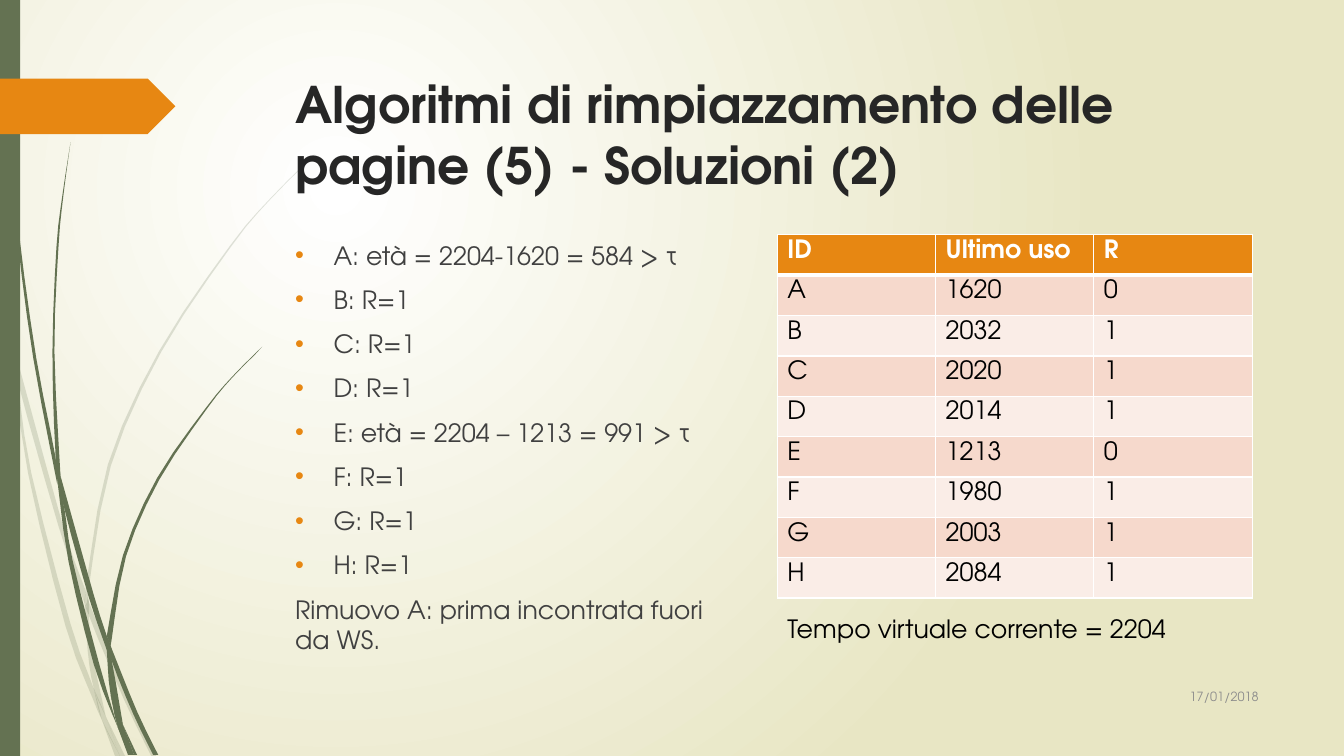
from pptx import Presentation
from pptx.dml.color import RGBColor
from pptx.enum.shapes import MSO_SHAPE
from pptx.enum.text import MSO_ANCHOR, PP_ALIGN
from pptx.oxml import parse_xml
from pptx.oxml.ns import nsdecls
from pptx.util import Inches, Pt

TITLE = "Algoritmi di rimpiazzamento delle pagine (5) - Soluzioni (2)"
AGES = ["A: età = 2204-1620 = 584 > τ", "B: R=1", "C: R=1", "D: R=1",
        "E: età = 2204 – 1213 = 991 > τ", "F: R=1", "G: R=1", "H: R=1"]
RESULT = "Rimuovo A: prima incontrata fuori da WS."
CLOCK = "Tempo virtuale corrente = 2204"
DATE = "17/01/2018"
PAGES = [("ID", "Ultimo uso", "R"),
         ("A", "1620", "0"), ("B", "2032", "1"), ("C", "2020", "1"),
         ("D", "2014", "1"), ("E", "1213", "0"), ("F", "1980", "1"),
         ("G", "2003", "1"), ("H", "2084", "1")]

FONT = "TeX Gyre Adventor"
WHITE = RGBColor(0xFF, 0xFF, 0xFF)
BLACK = RGBColor(0, 0, 0)
SAND = RGBColor(0xE8, 0xE6, 0xC4)
GREEN = RGBColor(0x64, 0x72, 0x52)
ORANGE = RGBColor(0xE7, 0x87, 0x12)
DARK = RGBColor(0x26, 0x26, 0x26)
TEXT = RGBColor(0x40, 0x40, 0x40)
GREY = RGBColor(0x8C, 0x8C, 0x8C)
BANDS = [RGBColor(0xFA, 0xED, 0xE7), RGBColor(0xF6, 0xD9, 0xCC)]

WIDTH, HEIGHT = 13.33, 7.5
LEFT, RIGHT, TOP = 2.83, 7.71, 2.33
COL, ROW = 1.57, 0.26

PALE = [
    ([(0, 2.82), (0.09, 3.22), (0.11, 3.5)], [(0, 2.99), (0.1, 3.44), (0.11, 3.5)]),
    ([(0.14, 3.45), (0.17, 3.76), (0.58, 5.22), (0.84, 5.99)],
     [(0.14, 3.45), (0.62, 5.2), (0.85, 5.86)]),
    ([(0.88, 5.96), (0.88, 6.1), (1.23, 6.94), (1.5, 7.5)],
     [(0.88, 5.96), (0.92, 6.07), (1.27, 6.92), (1.55, 7.5)]),
    ([(1.05, 7.11), (1.19, 7.5)], [(1.05, 7.11), (1.24, 7.5)]),
    ([(0.11, 3.5), (0.28, 4.7), (0.65, 6.21), (0.92, 6.93), (1.01, 7.14)],
     [(0.11, 3.5), (0.17, 3.76), (0.31, 4.69), (0.7, 6.19), (0.93, 6.83), (1.01, 7.14)]),
    ([(0.84, 5.99), (0.87, 6.46), (0.93, 6.83), (1.05, 7.11)],
     [(0.84, 5.99), (0.88, 6.1), (0.91, 6.46), (1.05, 7.11)]),
    ([(3.12, 1.53), (2.68, 1.97), (2.28, 2.44), (1.58, 3.48), (1.07, 4.61), (0.85, 5.84)],
     [(3.12, 1.54), (2.68, 1.98), (2.29, 2.45), (1.6, 3.49), (1.1, 4.62), (0.88, 5.84),
      (0.88, 5.96)]),
    ([(1.01, 7.14), (1.14, 7.5)], [(1.01, 7.14), (1.19, 7.5)]),
    ([(0.85, 5.86), (0.84, 5.99), (0.88, 6.1)], [(0.85, 5.86), (0.88, 5.96), (0.88, 6.1)]),
    ([(0.93, 6.83), (1.01, 7.14), (1.19, 7.5)], [(0.93, 6.83), (1.05, 7.11), (1.19, 7.5)]),
]
DEEP = [
    ([(0.03, 0), (0.07, 1.1), (0.17, 2.33), (0.33, 3.55), (0.57, 4.81)],
     [(0.04, 0), (0.08, 1.09), (0.19, 2.32), (0.36, 3.55), (0.55, 4.53), (0.57, 4.81)]),
    ([(0.6, 4.72), (0.64, 5.05), (0.88, 5.92), (1.06, 6.45)],
     [(0.6, 4.72), (0.93, 5.9), (1.06, 6.31)]),
    ([(1.1, 6.41), (1.11, 6.56), (1.32, 7.08), (1.52, 7.49)],
     [(1.1, 6.41), (1.13, 6.49), (1.36, 7.06), (1.57, 7.49)]),
    ([(0.57, 4.77), (0.68, 5.57), (0.93, 6.59), (1.17, 7.22)],
     [(0.57, 4.77), (0.64, 5.05), (0.72, 5.56), (0.98, 6.57), (1.17, 7.22)]),
    ([(0.7, 1.41), (0.62, 1.93), (0.56, 2.45), (0.52, 3.49), (0.55, 4.49), (0.6, 4.72)],
     [(0.7, 1.41), (0.63, 1.93), (0.58, 2.45), (0.54, 3.49), (0.6, 4.72)]),
    ([(1.22, 7.19), (1.33, 7.49)], [(1.22, 7.19), (1.36, 7.49)]),
    ([(0.55, 4.49), (0.57, 4.77), (0.64, 5.05)], [(0.55, 4.49), (0.6, 4.72), (0.64, 5.05)]),
    ([(2.6, 3.44), (2.31, 3.73), (2.04, 4.05), (1.56, 4.74), (1.22, 5.51), (1.06, 6.31)],
     [(2.61, 3.44), (2.31, 3.74), (2.05, 4.06), (1.58, 4.76), (1.25, 5.52), (1.11, 6.33),
      (1.1, 6.41)]),
    ([(1.17, 7.22), (1.27, 7.49)], [(1.17, 7.22), (1.31, 7.49)]),
    ([(1.06, 6.45), (1.1, 6.91), (1.22, 7.19)], [(1.06, 6.45), (1.11, 6.56), (1.22, 7.19)]),
    ([(1.06, 6.31), (1.06, 6.45), (1.11, 6.56)], [(1.06, 6.31), (1.1, 6.41), (1.11, 6.56)]),
    ([(1.1, 6.91), (1.17, 7.22), (1.3, 7.49)], [(1.1, 6.91), (1.22, 7.19), (1.33, 7.49)]),
]


def box(*sizes):
    return [Inches(size) for size in sizes]


def paint(shape, color):
    shape.shadow.inherit = False
    shape.fill.solid()
    shape.fill.fore_color.rgb = color
    shape.line.fill.background()


def smooth(knots, steps=3):
    ends = [knots[0], *knots, knots[-1]]
    curve = []
    for a, b, c, d in zip(ends, ends[1:], ends[2:], ends[3:]):
        for t in (step / steps for step in range(steps)):
            curve.append(box(*(
                q + t * (r - p) / 2 + t * t * (2 * p - 5 * q + 4 * r - s) / 2
                + t ** 3 * (3 * q - p - 3 * r + s) / 2
                for p, q, r, s in zip(a, b, c, d))))
    return curve + [box(*knots[-1])]


def blade(slide, edges, opacity):
    near, far = map(smooth, edges)
    pen = slide.shapes.build_freeform(*near[0])
    pen.add_line_segments(near[1:] + far[:0:-1], close=True)
    leaf = pen.convert_to_shape()
    paint(leaf, GREEN)
    if opacity < 100:
        tint = leaf.element.xpath("./p:spPr/a:solidFill/a:srgbClr")[0]
        tint.append(parse_xml(f'<a:alpha {nsdecls("a")} val="{opacity * 1000}"/>'))


def style(para, size, color, bold=False):
    for run in para.runs:
        run.font.name, run.font.size = FONT, Pt(size)
        run.font.color.rgb, run.font.bold = color, bold


def write(slide, place, lines, size, color):
    frame = slide.shapes.add_textbox(*box(*place)).text_frame
    frame.word_wrap = True
    frame.text = "\n".join(lines)
    for para in frame.paragraphs:
        style(para, size, color)
    return frame


def bullet(para):
    props = para._p.get_or_add_pPr()
    props.set("marL", str(Inches(0.38)))
    props.set("indent", str(-Inches(0.38)))
    for tag in (f'<a:buClr {nsdecls("a")}><a:srgbClr val="{ORANGE}"/></a:buClr>',
                f'<a:buFont {nsdecls("a")} typeface="Arial"/>',
                f'<a:buChar {nsdecls("a")} char="•"/>'):
        props.append(parse_xml(tag))


def border(cell, row):
    props = cell._tc.get_or_add_tcPr()
    wide = {"T": 3 if row == 1 else 1, "B": 3 if row == 0 else 1}
    for spot, side in enumerate("LRTB"):
        props.insert(spot, parse_xml(
            f'<a:ln{side} {nsdecls("a")} w="{Pt(wide.get(side, 1))}"><a:solidFill>'
            f'<a:srgbClr val="{WHITE}"/></a:solidFill></a:ln{side}>'))


def backdrop(slide):
    fill = slide.background.fill
    fill.gradient()
    for stop, color in zip(fill.gradient_stops, (WHITE, SAND)):
        stop.color.rgb = color
    grad = slide.element.xpath(".//p:bg//a:gradFill")[0]
    for line in grad.xpath("./a:lin"):
        grad.replace(line, parse_xml(
            f'<a:path {nsdecls("a")} path="circle"><a:fillToRect l="50000" '
            't="50000" r="100000" b="100000"/></a:path>'))
    for leaves, opacity in ((PALE, 20), (DEEP, 100)):
        for edges in leaves:
            blade(slide, edges, opacity)
    for kind, place, color in ((MSO_SHAPE.RECTANGLE, (0, 0, 0.2, HEIGHT), GREEN),
                               (MSO_SHAPE.PENTAGON, (0, 0.78, 1.74, 0.55), ORANGE)):
        paint(slide.shapes.add_shape(kind, *box(*place)), color)


def heading(slide):
    title = slide.shapes.title
    title.element.getparent().append(title.element)
    title.left, title.top, title.width, title.height = box(LEFT, 0.68, 9.75, 1.4)
    frame = title.text_frame
    frame.text = TITLE
    frame.word_wrap = True
    frame.vertical_anchor = MSO_ANCHOR.TOP
    frame.paragraphs[0].alignment = PP_ALIGN.LEFT
    style(frame.paragraphs[0], 36, DARK, True)


def grid(slide):
    rows, cols = len(PAGES), len(PAGES[0])
    table = slide.shapes.add_table(
        rows, cols, *box(RIGHT, TOP, cols * COL, rows * ROW)).table
    for r, page in enumerate(PAGES):
        for c, word in enumerate(page):
            cell = table.cell(r, c)
            cell.text = word
            cell.fill.solid()
            cell.fill.fore_color.rgb = BANDS[r % 2] if r else ORANGE
            style(cell.text_frame.paragraphs[0], 18, BLACK if r else WHITE, r == 0)
            border(cell, r)


deck = Presentation()
deck.slide_width, deck.slide_height = box(WIDTH, HEIGHT)
slide = deck.slides.add_slide(deck.slide_layouts[5])
backdrop(slide)
heading(slide)
body = write(slide, (LEFT, TOP, 4.44, 4.11), AGES + [RESULT], 18, TEXT)
for para in body.paragraphs[1:]:
    para.space_before = Pt(10)
for para in body.paragraphs[:-1]:
    bullet(para)
date = write(slide, (11.33, 6.7, 1.25, 0.41), [DATE], 9, GREY)
date.vertical_anchor = MSO_ANCHOR.MIDDLE
date.paragraphs[0].alignment = PP_ALIGN.RIGHT
grid(slide)
write(slide, (RIGHT, 6.04, 3 * COL, 0.4), [CLOCK], 18, BLACK)
deck.save("out.pptx")
